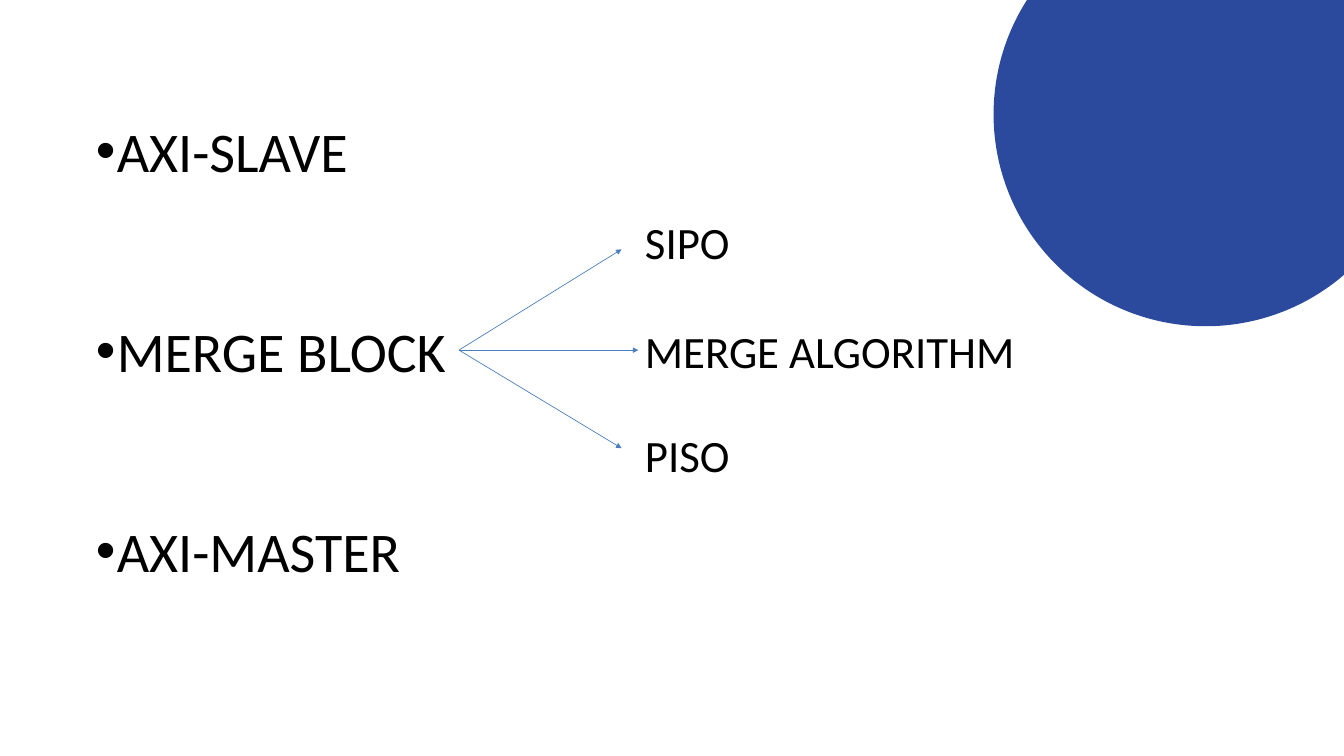
from lxml.etree import SubElement
from pptx import Presentation
from pptx.dml.color import RGBColor
from pptx.enum.shapes import MSO_CONNECTOR as Connector, MSO_SHAPE as Shape
from pptx.enum.text import MSO_ANCHOR as Anchor
from pptx.oxml.ns import qn
from pptx.util import Inches, Pt

MODULES = ["AXI-SLAVE", "MERGE BLOCK", "AXI-MASTER"]
STAGES = [("SIPO", 3.6, 9.25, 3.71), ("MERGE ALGORITHM", 5.21, 9.5, 5.21), ("PISO", 6.77, 9.25, 6.67)]

BLACK = RGBColor(0x00, 0x00, 0x00)
ARROW_BLUE = RGBColor(0x4B, 0x7E, 0xBC)
DISC_BLUE = RGBColor(0x2B, 0x4A, 0x9D)

WIDTH, HEIGHT = 20, 11.25
FORK = (6.83, 5.21)
MODULE_LEFT, MODULE_WIDTH, MODULE_HEIGHT = 1.33, 15.42, 7.17
MODULE_PITCH = 3.0
STAGE_LEFT, STAGE_WIDTH, STAGE_HEIGHT = 9.5, 9.17, 0.91
DISC_CENTER, DISC_RADIUS = (17.94, 1.7), 3.155
MODULE_SIZE, STAGE_SIZE = 60, 48
LINE_FACTOR = 1.22
HANGING = Inches(0.31)


def add_text(slide, left, middle, width, height, lines, size):
    box = slide.shapes.add_textbox(
        Inches(left), Inches(middle - height / 2), Inches(width), Inches(height)
    )
    frame = box.text_frame
    frame.word_wrap = True
    frame.vertical_anchor = Anchor.MIDDLE
    for index, line in enumerate(lines):
        paragraph = frame.add_paragraph() if index else frame.paragraphs[0]
        run = paragraph.add_run()
        run.text = line
        run.font.name = "Calibri"
        run.font.size = Pt(size)
        run.font.color.rgb = BLACK
    return frame.paragraphs


def add_bullet(paragraph):
    properties = paragraph._p.get_or_add_pPr()
    properties.set("marL", str(HANGING))
    properties.set("indent", str(-HANGING))
    SubElement(properties, qn("a:buFont"), typeface="Arial")
    SubElement(properties, qn("a:buChar"), char="•")


def add_arrow(slide, start, end):
    arrow = slide.shapes.add_connector(Connector.STRAIGHT, *map(Inches, start + end))
    arrow.line.color.rgb = ARROW_BLUE
    arrow.line.width = Pt(0.75)
    SubElement(arrow.line._get_or_add_ln(), qn("a:tailEnd"), type="triangle")
    SubElement(arrow._element.spPr, qn("a:effectLst"))


def add_disc(slide, center, radius):
    left, top = (Inches(value - radius) for value in center)
    disc = slide.shapes.add_shape(Shape.OVAL, left, top, Inches(2 * radius), Inches(2 * radius))
    disc.shadow.inherit = False
    disc.fill.solid()
    disc.fill.fore_color.rgb = DISC_BLUE
    disc.line.fill.background()


def main():
    deck = Presentation()
    deck.slide_width, deck.slide_height = Inches(WIDTH), Inches(HEIGHT)
    slide = deck.slides.add_slide(deck.slide_layouts[6])

    modules = add_text(
        slide, MODULE_LEFT, FORK[1], MODULE_WIDTH, MODULE_HEIGHT, MODULES, MODULE_SIZE
    )
    for index, paragraph in enumerate(modules):
        if index:
            paragraph.space_before = Pt(MODULE_PITCH * 72 - MODULE_SIZE * LINE_FACTOR)
        add_bullet(paragraph)

    for stage, middle, tip_x, tip_y in STAGES:
        add_text(slide, STAGE_LEFT, middle, STAGE_WIDTH, STAGE_HEIGHT, [stage], STAGE_SIZE)
        add_arrow(slide, FORK, (tip_x, tip_y))

    add_disc(slide, DISC_CENTER, DISC_RADIUS)
    deck.save("out.pptx")


if __name__ == "__main__":
    main()
